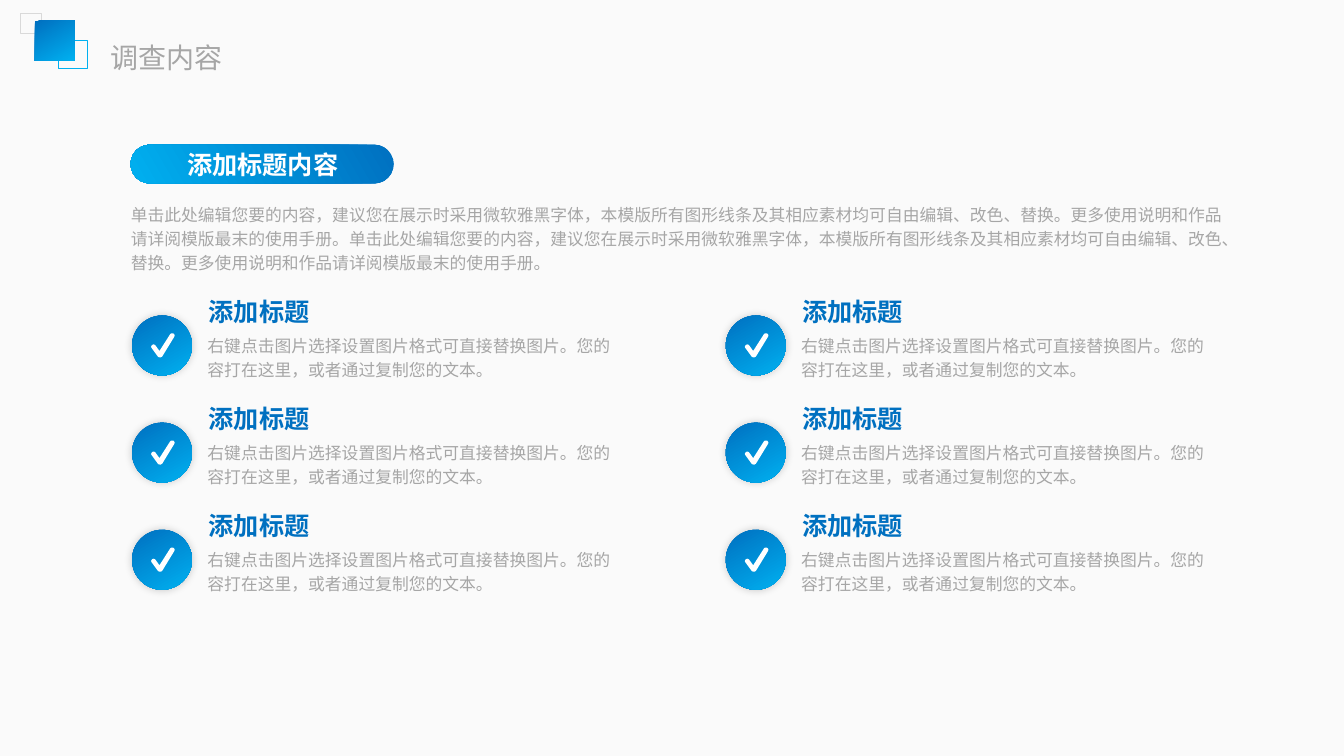
import pptx
import pptx.dml.color
import pptx.enum.shapes
import pptx.enum.text
import pptx.oxml
import pptx.oxml.ns
import pptx.util

RGBColor = pptx.dml.color.RGBColor
BLUE = RGBColor(0x00, 0x70, 0xC0)
SKY = RGBColor(0x00, 0xB0, 0xF0)
GRAY = RGBColor(0xA6, 0xA6, 0xA6)
PALE = RGBColor(0xD9, 0xD9, 0xD9)
WHITE = RGBColor(0xFF, 0xFF, 0xFF)
BACKGROUND = RGBColor(0xFA, 0xFA, 0xFA)

CELL = pptx.util.Inches(0.1)
COLUMNS, ROWS = 133.33, 75
FONT_NAME = "Noto Sans CJK SC"
SHAPES = pptx.enum.shapes.MSO_SHAPE
AUTO_SIZE = pptx.enum.text.MSO_AUTO_SIZE
CENTER = pptx.enum.text.PP_ALIGN.CENTER

HEADING = {"size": pptx.util.Pt(20), "bold": False}
SUBTITLE = {"size": pptx.util.Pt(18), "bold": True}
BODY = {"size": pptx.util.Pt(12), "bold": False}
GROW = {"auto_size": AUTO_SIZE.SHAPE_TO_FIT_TEXT}
ITEM_TITLE_FRAME = {
    **GROW,
    "margin_left": 2 * CELL,
    "margin_right": 2 * CELL,
    "margin_top": CELL,
    "margin_bottom": CELL,
}

INTRO_SENTENCES = (
    "单击此处编辑您要的内容，建议您在展示时采用微软雅黑字体，"
    "本模版所有图形线条及其相应素材均可自由编辑、改色、替换。"
    "更多使用说明和作品请详阅模版最末的使用手册。"
)
ITEM_TEXT = "右键点击图片选择设置图片格式可直接替换图片。您的容打在这里，或者通过复制您的文本。"

CHECK_START = (90, 245)
CHECK_SEGMENTS = [
    [(80, 245), (70, 243), (67, 238)],
    [(10, 160)],
    [(-3, 147), (-3, 133), (10, 122)],
    [(20, 113), (37, 117), (43, 128)],
    [(82, 182)],
    [(187, 18)],
    [(193, 7), (210, 3), (222, 10)],
    [(232, 17), (235, 30), (229, 41)],
    [(113, 231)],
    [(107, 240), (100, 245), (90, 245)],
]


def cells(*values):
    """Convert grid cells to slide lengths."""
    return [pptx.util.Emu(round(value * CELL)) for value in values]


def apply(target, values):
    """Set every attribute named in a dict of format values."""
    for name, value in values.items():
        setattr(target, name, value)


def fill_gradient(fill):
    """Fill with the blue gradient running down to the right."""
    fill.gradient()
    fill.gradient_angle = 300
    for stop, color in zip(fill.gradient_stops, (BLUE, SKY)):
        stop.color.rgb = color


def add_gradient_shape(shapes, kind, *box):
    """Add a borderless gradient shape."""
    shape = shapes.add_shape(kind, *cells(*box))
    shape.shadow.inherit = False
    fill_gradient(shape.fill)
    shape.line.fill.background()
    return shape


def add_text(shapes, box, text, font_values, color=None, frame=None, paragraph_values=None):
    """Add a text box; without a colour its text takes the gradient."""
    text_frame = shapes.add_textbox(*cells(*box)).text_frame
    apply(text_frame, {"word_wrap": True, **(frame or {})})
    paragraph = text_frame.paragraphs[0]
    apply(paragraph, paragraph_values or {})
    run = paragraph.add_run()
    run.text = text
    apply(run.font, {**font_values, "name": FONT_NAME})
    if color is None:
        fill_gradient(run.font.fill)
    else:
        run.font.color.rgb = color
    latin = run.font._element.find(pptx.oxml.ns.qn("a:latin"))
    latin.addnext(pptx.oxml.parse_xml(
        f'<a:ea {pptx.oxml.ns.nsdecls("a")} typeface="{FONT_NAME}"/>'))


def add_outline_square(shapes, left, top, side, color):
    """Add a hollow square with a thin outline."""
    square = shapes.add_shape(SHAPES.RECTANGLE, *cells(left, top, side, side))
    square.shadow.inherit = False
    square.fill.background()
    square.line.color.rgb = color
    square.line.width = pptx.util.Pt(0.75)


def add_header(shapes, left, top):
    """Add the corner squares and the slide heading."""
    add_outline_square(shapes, left + 3.8, top + 2.7, 2.8, SKY)
    add_outline_square(shapes, left, top, 2.05, PALE)
    add_gradient_shape(shapes, SHAPES.RECTANGLE, left + 1.4, top + 0.75, 3.95, 3.95)
    add_text(shapes, (left + 7.9, top + 2.2, 19.7, 4.1), "调查内容", HEADING, GRAY)


def add_banner(shapes, left, top, width, height):
    """Add the pill-shaped banner, an upright tab turned on its side."""
    group = shapes.add_group_shape().shapes
    pill = add_gradient_shape(
        group, SHAPES.ROUND_2_SAME_RECTANGLE,
        left + (width - height) / 2, top + (height - width) / 2, height, width)
    pill.rotation = 90
    pill.adjustments[0] = pill.adjustments[1] = 0.5
    add_text(group, (left + 4.5, top, 17.2, 4), "添加标题内容", SUBTITLE, WHITE,
             {**GROW, "word_wrap": False}, {"alignment": CENTER})


def add_shadow(shape):
    """Give a shape a soft black glow-like shadow."""
    effects = shape._element.spPr.find(pptx.oxml.ns.qn("a:effectLst"))
    effects.append(pptx.oxml.parse_xml(
        f'<a:outerShdw {pptx.oxml.ns.nsdecls("a")} blurRad="{pptx.util.Pt(6)}" '
        'dist="0" dir="18900000" algn="ctr" rotWithShape="0">'
        '<a:srgbClr val="000000"><a:alpha val="20000"/></a:srgbClr></a:outerShdw>'))


def curve_points(start, controls, steps=6):
    """List points along a cubic curve, or the end of a straight segment."""
    if len(controls) == 1:
        return controls
    points = [start, *controls]
    shares = [step / steps for step in range(1, steps + 1)]
    return [
        tuple(sum(weight * point[axis] for weight, point in zip(
            ((1 - t) ** 3, 3 * t * (1 - t) ** 2, 3 * t * t * (1 - t), t ** 3), points))
            for axis in (0, 1))
        for t in shares
    ]


def add_check_mark(shapes, left, top):
    """Add the rounded white check mark."""
    builder = shapes.build_freeform(*CHECK_START, scale=CELL / 100)
    start = CHECK_START
    for controls in CHECK_SEGMENTS:
        builder.add_line_segments(curve_points(start, controls), close=False)
        start = controls[-1]
    builder.add_line_segments([CHECK_START], close=True)
    mark = builder.convert_to_shape(*cells(left, top))
    mark.shadow.inherit = False
    mark.fill.solid()
    mark.fill.fore_color.rgb = WHITE
    mark.line.fill.background()


def add_item(shapes, left, top):
    """Add one checked item with its title and description."""
    group = shapes.add_group_shape().shapes
    add_shadow(add_gradient_shape(group, SHAPES.OVAL, left, top + 2.9, 5.95, 5.95))
    add_check_mark(group, left + 1.9, top + 4.6)
    add_text(group, (left + 6.5, top + 4, 42.5, 5.9), ITEM_TEXT, BODY, GRAY,
             GROW, {"line_spacing": 1.2})
    add_text(group, (left + 5.6, top, 33.2, 5), "添加标题", SUBTITLE,
             frame=ITEM_TITLE_FRAME)


def add_item_grid(shapes, left, top, column_step, row_step):
    """Add three rows of two checked items."""
    for row in range(3):
        for column in range(2):
            add_item(shapes, left + column * column_step, top + row * row_step)


def main():
    """Build and save the slide."""
    presentation = pptx.Presentation()
    presentation.slide_width, presentation.slide_height = cells(COLUMNS, ROWS)
    slide = presentation.slides.add_slide(presentation.slide_layouts[6])
    slide.background.fill.solid()
    slide.background.fill.fore_color.rgb = BACKGROUND
    add_header(slide.shapes, 2.05, 1.3)
    add_banner(slide.shapes, 12.95, 14.35, 26.1, 3.85)
    add_text(slide.shapes, (12, 19.4, 111.4, 8.3), INTRO_SENTENCES * 2, BODY, GRAY,
             GROW, {"line_spacing": 1.2})
    add_item_grid(slide.shapes, 13.1, 28.4, 58.9, 10.63)
    presentation.save("out.pptx")


if __name__ == "__main__":
    main()
